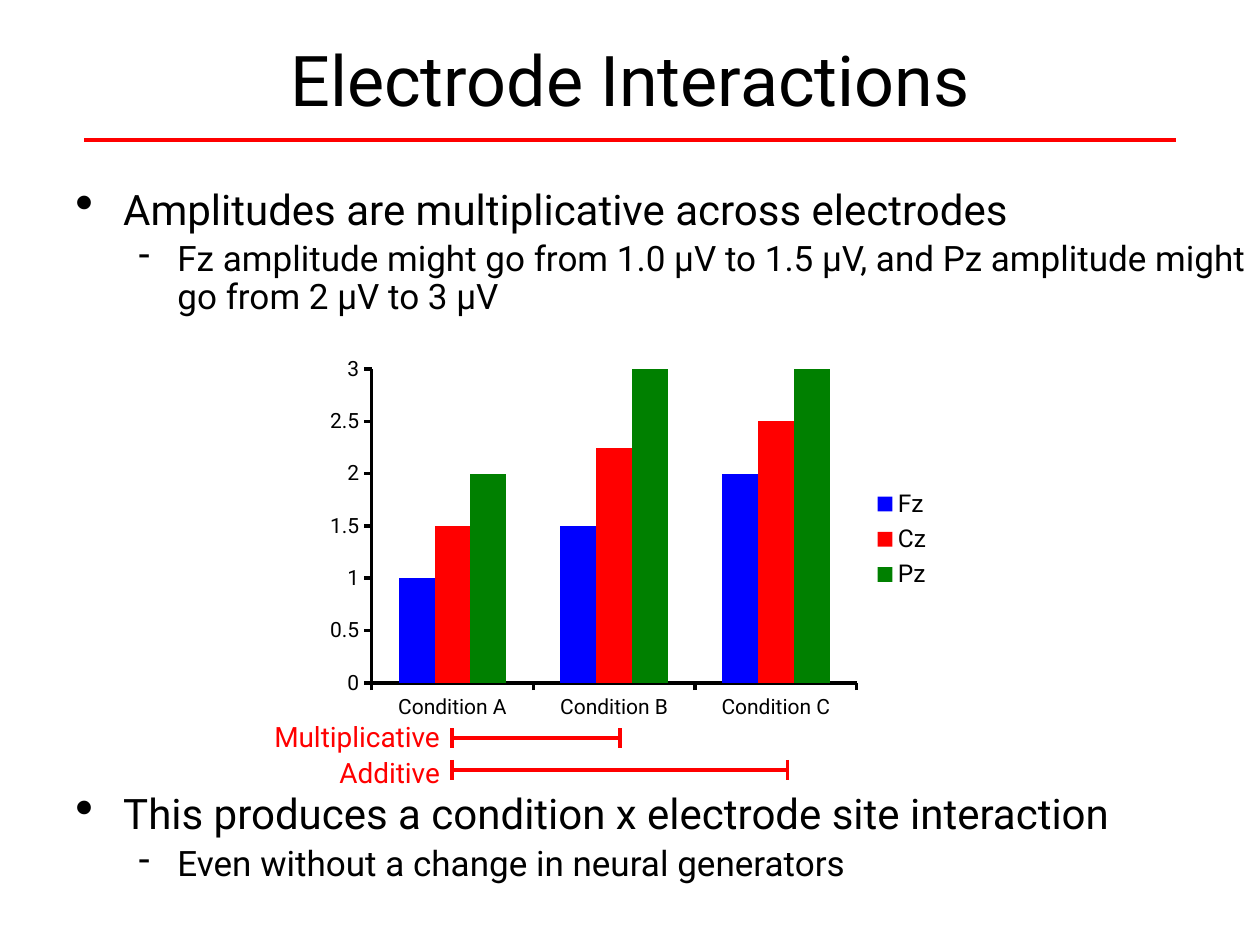
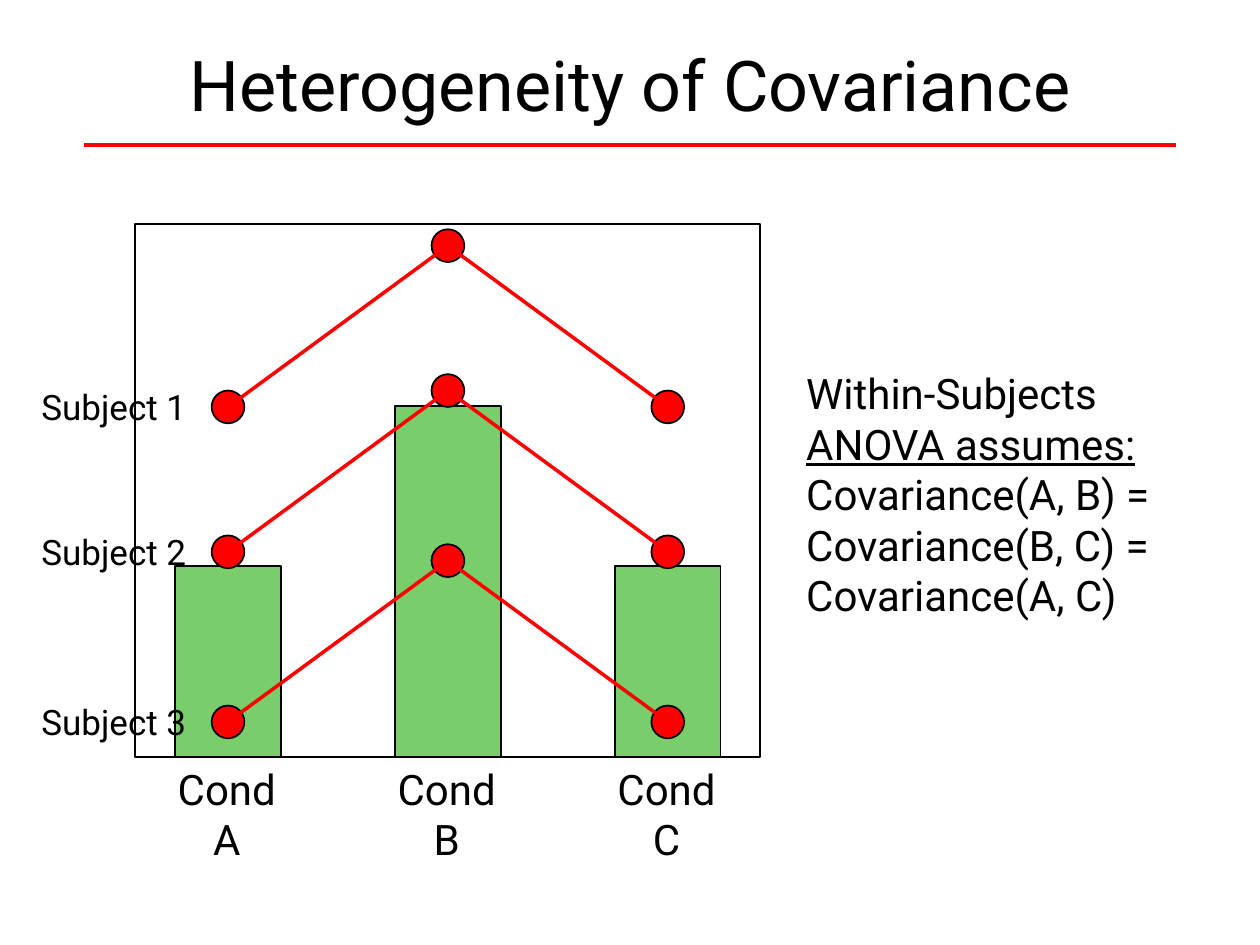
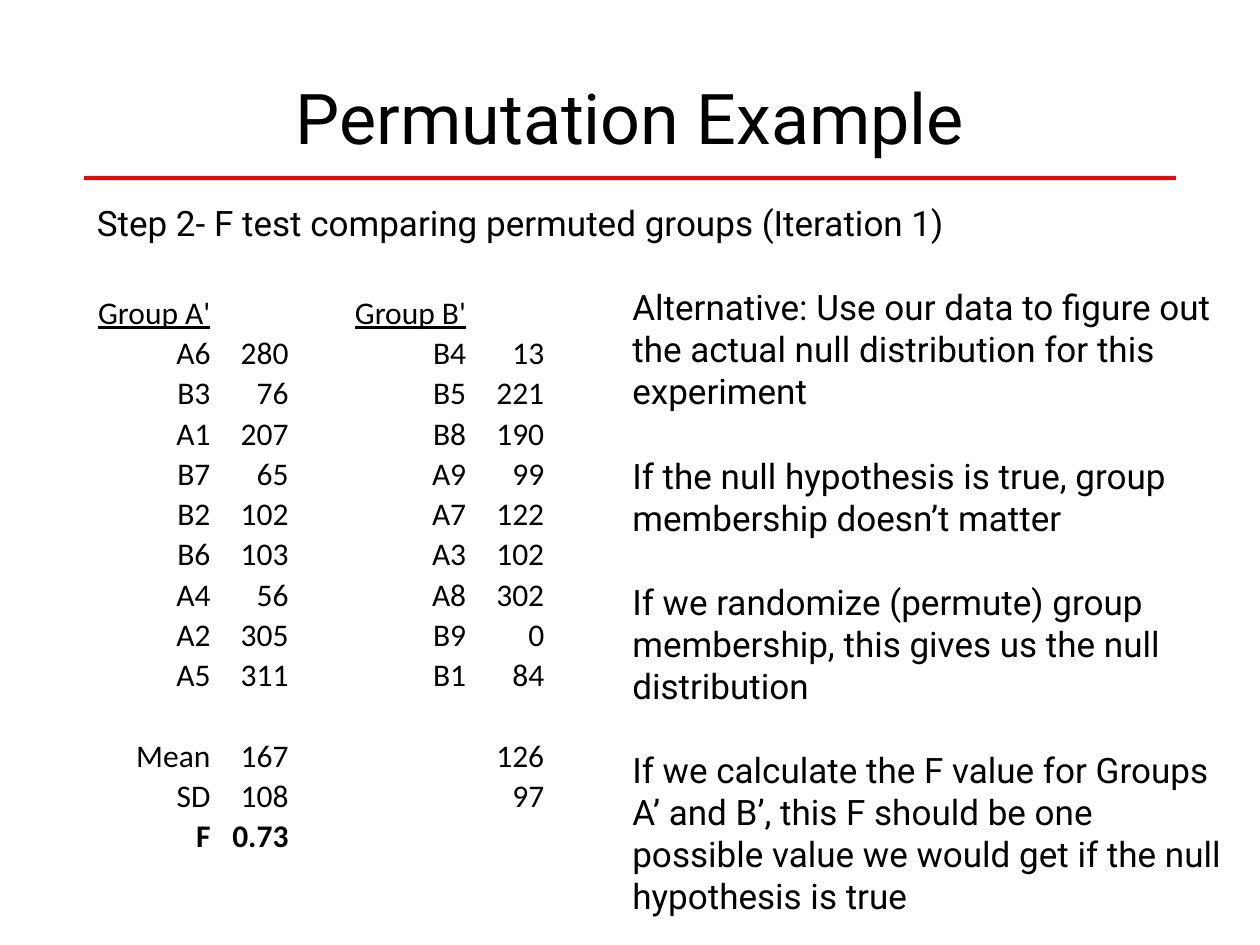
import pptx
import pptx.chart.data
import pptx.dml.color
import pptx.enum.chart
import pptx.enum.shapes
import pptx.enum.text
import pptx.oxml
import pptx.oxml.ns
import pptx.util
from lxml import etree

Inches = pptx.util.Inches
Pt = pptx.util.Pt
ALIGN = pptx.enum.text.PP_ALIGN
ANCHOR = pptx.enum.text.MSO_ANCHOR
SHAPES = pptx.enum.shapes.MSO_SHAPE

BLACK, RED, GREEN = "000000", "FF0000", "79CD6B"
FONT, TABLE_FONT = "Roboto", "Calibri"


def color(hex_string):
    """Return the RGB colour for a hex string."""
    return pptx.dml.color.RGBColor.from_string(hex_string)


def style_font(font, size, fill=BLACK, name=FONT):
    """Set the size, colour and typeface of a font."""
    font.size = Pt(size)
    font.name = name
    font.color.rgb = color(fill)


def add_text(slide, box, lines, size, fill=BLACK, align=ALIGN.LEFT, anchor=ANCHOR.TOP, gap=0):
    """Add a text box with one paragraph per line and return its text frame."""
    frame = slide.shapes.add_textbox(*map(Inches, box)).text_frame
    frame.word_wrap = True
    frame.vertical_anchor = anchor
    for index, line in enumerate(lines):
        paragraph = frame.add_paragraph() if index else frame.paragraphs[0]
        paragraph.text = line
        paragraph.alignment = align
        if index and gap:
            paragraph.space_before = Pt(gap)
        style_font(paragraph.font, size, fill)
    return frame


def add_line(slide, start, end, width=2.25):
    """Draw a red straight line between two points."""
    line = slide.shapes.add_connector(
        pptx.enum.shapes.MSO_CONNECTOR.STRAIGHT, *map(Inches, (*start, *end)))
    line.line.color.rgb = color(RED)
    line.line.width = Pt(width)
    etree.SubElement(line._element.spPr, pptx.oxml.ns.qn("a:effectLst"))


def add_outlined(slide, kind, box, fill=None):
    """Add a preset shape with a thin black outline."""
    shape = slide.shapes.add_shape(kind, *map(Inches, box))
    shape.shadow.inherit = False
    shape.line.color.rgb = color(BLACK)
    shape.line.width = Pt(1)
    if fill:
        shape.fill.solid()
        shape.fill.fore_color.rgb = color(fill)
    else:
        shape.fill.background()


def add_title_slide(presentation, title, top):
    """Add a blank slide with a centred title and the red rule below it."""
    slide = presentation.slides.add_slide(presentation.slide_layouts[6])
    add_line(slide, (0.67, top + 1.11), (9.33, top + 1.11))
    add_text(slide, (0.5, top, 9, 1.25), [title], 40, align=ALIGN.CENTER, anchor=ANCHOR.MIDDLE)
    return slide


def set_bullet(paragraph, character, margin, indent, percent):
    """Give a paragraph a hanging bullet character."""
    properties = paragraph._p.get_or_add_pPr()
    properties.set("marL", str(Inches(margin)))
    properties.set("indent", str(Inches(-indent)))
    size = etree.SubElement(properties, pptx.oxml.ns.qn("a:buSzPct"))
    size.set("val", str(percent * 1000))
    bullet = etree.SubElement(properties, pptx.oxml.ns.qn("a:buChar"))
    bullet.set("char", character)


def add_point(slide, box, point, detail):
    """Add a bulleted point with one dashed detail under it."""
    frame = slide.shapes.add_textbox(*map(Inches, box)).text_frame
    frame.word_wrap = True
    main, sub = frame.paragraphs[0], frame.add_paragraph()
    main.text, sub.text = point, detail
    sub.level = 1
    set_bullet(main, "•", 0.38, 0.38, 125)
    set_bullet(sub, "-", 0.81, 0.31, 100)
    sub.space_before = Pt(4)
    for paragraph, size in ((main, 24), (sub, 20)):
        paragraph.line_spacing = 0.9
        style_font(paragraph.font, size)


def set_plot_layout(chart, **fractions):
    """Fix the inner plot area as fractions of the chart."""
    values = "".join(f'<c:{key} val="{value}"/>' for key, value in fractions.items())
    layout = pptx.oxml.parse_xml(
        f'<c:layout {pptx.oxml.ns.nsdecls("c")}><c:manualLayout><c:layoutTarget val="inner"/>'
        f'<c:xMode val="edge"/><c:yMode val="edge"/>{values}</c:manualLayout></c:layout>')
    plot_area = chart._chartSpace.chart.plotArea
    for previous in plot_area.findall(pptx.oxml.ns.qn("c:layout")):
        plot_area.remove(previous)
    plot_area.insert(0, layout)


def add_amplitude_chart(slide, box):
    """Add the clustered columns of amplitude by condition and electrode."""
    electrodes = {
        "Fz": ("0000FF", (1, 1.5, 2)),
        "Cz": (RED, (1.5, 2.25, 2.5)),
        "Pz": ("008000", (2, 3, 3)),
    }
    data = pptx.chart.data.CategoryChartData()
    data.categories = ["Condition A", "Condition B", "Condition C"]
    for name, (_, values) in electrodes.items():
        data.add_series(name, values)
    chart = slide.shapes.add_chart(
        pptx.enum.chart.XL_CHART_TYPE.COLUMN_CLUSTERED, *map(Inches, box), data).chart
    style_font(chart.font, 10)
    chart.has_title = False
    chart.has_legend = True
    chart.legend.position = pptx.enum.chart.XL_LEGEND_POSITION.RIGHT
    chart.legend.include_in_layout = False
    style_font(chart.legend.font, 14)
    plot = chart.plots[0]
    plot.gap_width = 150
    plot.overlap = 0
    plot.vary_by_categories = False
    for series in plot.series:
        series.format.fill.solid()
        series.format.fill.fore_color.rgb = color(electrodes[series.name][0])
    for axis in (chart.category_axis, chart.value_axis):
        axis.has_major_gridlines = False
        axis.major_tick_mark = pptx.enum.chart.XL_TICK_MARK.OUTSIDE
        axis.format.line.color.rgb = color(BLACK)
        axis.format.line.width = Pt(2)
        style_font(axis.tick_labels.font, 12)
    chart.value_axis.minimum_scale = 0
    chart.value_axis.maximum_scale = 3
    chart.value_axis.major_unit = 0.5
    set_plot_layout(chart, x=0.09, y=0.05, w=0.77, h=0.83)


def add_bracket(slide, label, label_top, left, middle, length):
    """Draw a labelled horizontal bracket with a tick at each end."""
    right = left + length
    add_line(slide, (left, middle), (right, middle))
    for x in (left, right):
        add_line(slide, (x, middle - 0.08), (x, middle + 0.08))
    add_text(slide, (left - 1.6, label_top, 1.6, 0.37), [label], 16, RED, ALIGN.RIGHT)


def add_interactions_slide(presentation):
    """Build the slide on electrode interactions."""
    slide = add_title_slide(presentation, "Electrode Interactions", 0)
    add_point(slide, (0.5, 1.45, 9.5, 1.29), "Amplitudes are multiplicative across electrodes",
              "Fz amplitude might go from 1.0 µV to 1.5 µV, and Pz amplitude might go from 2 µV to 3 µV")
    add_point(slide, (0.5, 6.25, 9.5, 0.83), "This produces a condition x electrode site interaction",
              "Even without a change in neural generators")
    add_bracket(slide, "Multiplicative", 5.66, 3.59, 5.86, 1.33)
    add_bracket(slide, "Additive", 5.95, 3.59, 6.11, 2.66)
    add_amplitude_chart(slide, (2.5, 2.78, 5, 3))


def add_subject_plot(slide, box):
    """Draw condition bars with one line of dots per subject inside a frame."""
    left, top, width, height = box
    bottom = top + height
    centers = [left + 0.74 + 1.745 * index for index in range(3)]
    add_outlined(slide, SHAPES.RECTANGLE, box)
    for name, center, bar_height in zip("ABC", centers, (1.52, 2.79, 1.52)):
        add_outlined(slide, SHAPES.RECTANGLE,
                     (center - 0.42, bottom - bar_height, 0.84, bar_height), GREEN)
        add_text(slide, (center - 0.52, bottom, 1.02, 0.91), ["Cond", name], 24, align=ALIGN.CENTER)
    for number, offset in enumerate((1.45, 2.6, 3.95), 1):
        base = top + offset
        points = list(zip(centers, (base, base - 1.28, base)))
        for x, y in points:
            add_outlined(slide, SHAPES.OVAL, (x - 0.13, y - 0.13, 0.26, 0.26), RED)
        for start, end in zip(points, points[1:]):
            add_line(slide, start, end, 2)
        add_text(slide, (left - 0.84, base - 0.22, 1.5, 0.44), [f"Subject {number}"], 20)


def add_covariance_slide(presentation):
    """Build the slide on heterogeneity of covariance."""
    slide = add_title_slide(presentation, "Heterogeneity of Covariance", 0.04)
    add_subject_plot(slide, (1.07, 1.78, 4.96, 4.23))
    lines = ["Within-Subjects", "Covariance(A, B) =", "Covariance(B, C) =", "Covariance(A, C)"]
    frame = add_text(slide, (6.3, 2.87, 3.38, 2.12), lines, 24)
    underlined = frame.paragraphs[0].add_run()
    underlined.text = " ANOVA assumes:"
    underlined.font.underline = True


def add_group_table(slide, left, top):
    """Add the table of permuted groups with their statistics."""
    rows = [
        ("Group A'", "", "Group B'", ""),
        ("A6", "280", "B4", "13"),
        ("B3", "76", "B5", "221"),
        ("A1", "207", "B8", "190"),
        ("B7", "65", "A9", "99"),
        ("B2", "102", "A7", "122"),
        ("B6", "103", "A3", "102"),
        ("A4", "56", "A8", "302"),
        ("A2", "305", "B9", "0"),
        ("A5", "311", "B1", "84"),
        ("", "", "", ""),
        ("Mean", "167", "", "126"),
        ("SD", "108", "", "97"),
        ("F", "0.73", "", ""),
    ]
    widths = (1, 0.62, 0.41, 1, 0.62)
    table = slide.shapes.add_table(
        len(rows), len(widths), *map(Inches, (left, top, sum(widths), 0.32 * len(rows)))).table
    table.first_row = table.horz_banding = False
    for column, width in zip(table.columns, widths):
        column.width = Inches(width)
    for row, values in zip(table.rows, rows):
        row.height = Inches(0.32)
        for cell, value in zip(row.cells, (*values[:2], "", *values[2:])):
            cell.fill.background()
            cell.vertical_anchor = ANCHOR.BOTTOM
            cell.margin_left = cell.margin_right = cell.margin_top = Inches(0.01)
            cell.margin_bottom = 0
            paragraph = cell.text_frame.paragraphs[0]
            paragraph.text = value
            paragraph.alignment = ALIGN.RIGHT
            style_font(paragraph.font, 18, name=TABLE_FONT)
            paragraph.font.underline = values is rows[0]
            paragraph.font.bold = values is rows[-1]


def add_permutation_slide(presentation):
    """Build the slide with the permutation example."""
    slide = add_title_slide(presentation, "Permutation Example", 0.3)
    add_text(slide, (0.67, 1.55, 7.76, 0.44),
             ["Step 2- F test comparing permuted groups (Iteration 1)"], 20)
    add_text(slide, (4.92, 2.22, 4.91, 5.15), [
        "Alternative: Use our data to figure out the actual null distribution for this experiment",
        "If the null hypothesis is true, group membership doesn’t matter",
        "If we randomize (permute) group membership, this gives us the null distribution",
        "If we calculate the F value for Groups A’ and B’, this F should be one possible value "
        "we would get if the null hypothesis is true",
    ], 20, gap=24)
    add_group_table(slide, 0.68, 2.32)


def main():
    """Build the presentation and save it."""
    presentation = pptx.Presentation()
    presentation.slide_width = Inches(10)
    presentation.slide_height = Inches(7.5)
    add_interactions_slide(presentation)
    add_covariance_slide(presentation)
    add_permutation_slide(presentation)
    presentation.save("out.pptx")


if __name__ == "__main__":
    main()
